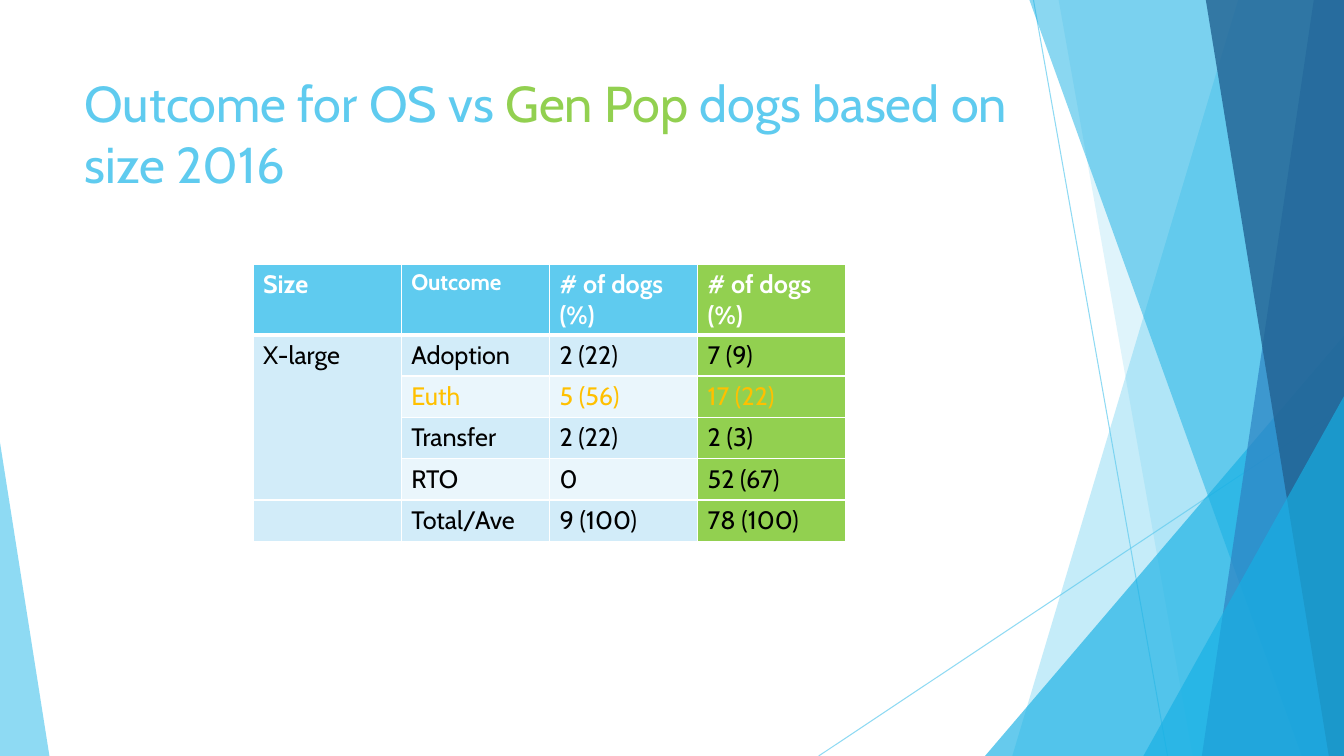
from dataclasses import dataclass

from lxml import etree
from pptx import Presentation
from pptx.dml.color import RGBColor
from pptx.enum import shapes, text
from pptx.oxml import ns
from pptx.util import Inches, Pt

WIDE, HIGH = 13.33, 7.5


@dataclass
class Theme:
    font: str = "Cabin"
    sky: str = "5FCBEF"
    cyan: str = "17B0E4"
    blue: str = "2E83C3"
    navy: str = "226292"
    green: str = "92D050"
    gold: str = "FFC000"
    band: str = "D2ECF9"
    pale: str = "EAF6FC"
    white: str = "FFFFFF"
    black: str = "000000"
    title: int = 36
    body: int = 18
    small: int = 16


def add(node, tag, **attrs):
    return etree.SubElement(node, ns.qn(tag), **attrs)


class Deck:
    def __init__(self, theme):
        self.theme = theme
        self.prs = Presentation()
        self.prs.slide_width, self.prs.slide_height = Inches(WIDE), Inches(HIGH)
        self.slide = self.prs.slides.add_slide(self.prs.slide_layouts[6])
        self.shapes = self.slide.shapes

    def tint(self, fill, color, alpha):
        """Solid fill with an opacity in percent."""
        fill.solid()
        fill.fore_color.rgb = RGBColor.from_string(color)
        node = fill._xPr.find(".//" + ns.qn("a:srgbClr"))
        add(node, "a:alpha", val=str(alpha * 1000))

    def paint(self, shape, color, alpha):
        shape.shadow.inherit = False
        shape.line.fill.background()
        self.tint(shape.fill, color, alpha)

    def line(self, x1, y1, x2, y2, color, alpha):
        line = self.shapes.add_connector(
            shapes.MSO_CONNECTOR.STRAIGHT, *map(Inches, (x1, y1, x2, y2)))
        line.line.width = Pt(0.75)
        self.tint(line.line.fill, color, alpha)
        add(line._element.spPr, "a:effectLst")

    def panel(self, top, foot, color, alpha):
        """Full-height panel from a slanted left side to the right edge."""
        form = self.shapes.build_freeform(Inches(top), 0)
        form.add_line_segments(
            [(Inches(x), Inches(y)) for x, y in
             ((WIDE, 0), (WIDE, HIGH), (foot, HIGH))])
        self.paint(form.convert_to_shape(), color, alpha)

    def wedge(self, left, top, wide, peak, color, alpha):
        """Triangle that stands on the bottom edge."""
        shape = self.shapes.add_shape(
            shapes.MSO_SHAPE.ISOSCELES_TRIANGLE,
            *map(Inches, (left, top, wide, HIGH - top)))
        shape.adjustments[0] = peak
        self.paint(shape, color, alpha)

    def style(self, run, size, color, bold=False):
        run.font.name, run.font.size, run.font.bold = self.theme.font, Pt(size), bold
        run.font.color.rgb = RGBColor.from_string(color)

    def title(self, box, parts):
        frame = self.shapes.add_textbox(*map(Inches, box)).text_frame
        frame.word_wrap = True
        frame.vertical_anchor = text.MSO_ANCHOR.TOP
        for words, color in parts:
            run = frame.paragraphs[0].add_run()
            run.text = words
            self.style(run, self.theme.title, color)

    def cell(self, cell, words, fill, size, color, bold, foot):
        # Borders come before the fill in the cell properties
        props = cell._tc.get_or_add_tcPr()
        for side, width in (("L", 1), ("R", 1), ("T", 1), ("B", foot)):
            edge = add(props, "a:ln" + side, w=str(Pt(width)))
            add(add(edge, "a:solidFill"), "a:srgbClr", val=self.theme.white)
        cell.fill.solid()
        cell.fill.fore_color.rgb = RGBColor.from_string(fill)
        cell.text_frame.text = words
        for run in cell.text_frame.paragraphs[0].runs:
            self.style(run, size, color, bold)

    def table(self, left, top, col, head, row, rows):
        t = self.theme
        count, cols = len(rows), len(rows[0])
        table = self.shapes.add_table(
            count, cols, Inches(left), Inches(top), Inches(col * cols),
            Inches(head + row * (count - 1))).table
        for item in table.columns:
            item.width = Inches(col)
        for r, words in enumerate(rows):
            table.rows[r].height = Inches(row if r else head)
            for c, word in enumerate(words):
                fill = t.sky if r == 0 else t.band if r % 2 or c == 0 else t.pale
                if c == cols - 1:
                    fill = t.green
                color = t.white if r == 0 else t.gold if words[1] == "Euth" else t.black
                size = t.small if word == "Outcome" else t.body
                self.cell(table.cell(r, c), word, fill, size, color,
                          r == 0, 1 if r else 3)
        table.cell(1, 0).merge(table.cell(count - 2, 0))


def main():
    t = Theme()
    deck = Deck(t)

    # Facets at the slide edges, back to front
    deck.line(10.25, 0, 11.58, HIGH, t.sky, 70)
    deck.line(WIDE, 4.03, 8.12, HIGH, t.sky, 70)
    deck.panel(12.28, 10.04, t.sky, 36)
    deck.panel(10.5, 11.83, t.sky, 20)
    deck.wedge(9.77, 3.33, 3.56, 1, t.cyan, 66)
    deck.panel(10.21, 12.91, t.cyan, 50)
    deck.panel(13.03, 11.92, t.blue, 70)
    deck.panel(11.96, 13.18, t.navy, 80)
    deck.wedge(11.34, 3.93, 1.99, 1, t.cyan, 66)
    deck.wedge(0, 4.39, 0.49, 0, t.sky, 70)

    # Title
    deck.title((0.74, 0.67, 9.4, 1.44), (
        ("Outcome for OS vs ", t.sky),
        ("Gen Pop ", t.green),
        ("dogs based on size 2016", t.sky)))

    # Outcome table
    deck.table(2.51, 2.62, 1.47, 0.7, 0.41, (
        ("Size", "Outcome", "# of dogs (%)", "# of dogs (%)"),
        ("X-large", "Adoption", "2 (22)", "7 (9)"),
        ("", "Euth", "5 (56)", "17 (22)"),
        ("", "Transfer", "2 (22)", "2 (3)"),
        ("", "RTO", "0", "52 (67)"),
        ("", "Total/Ave", "9 (100)", "78 (100)")))

    deck.prs.save("out.pptx")


if __name__ == "__main__":
    main()
